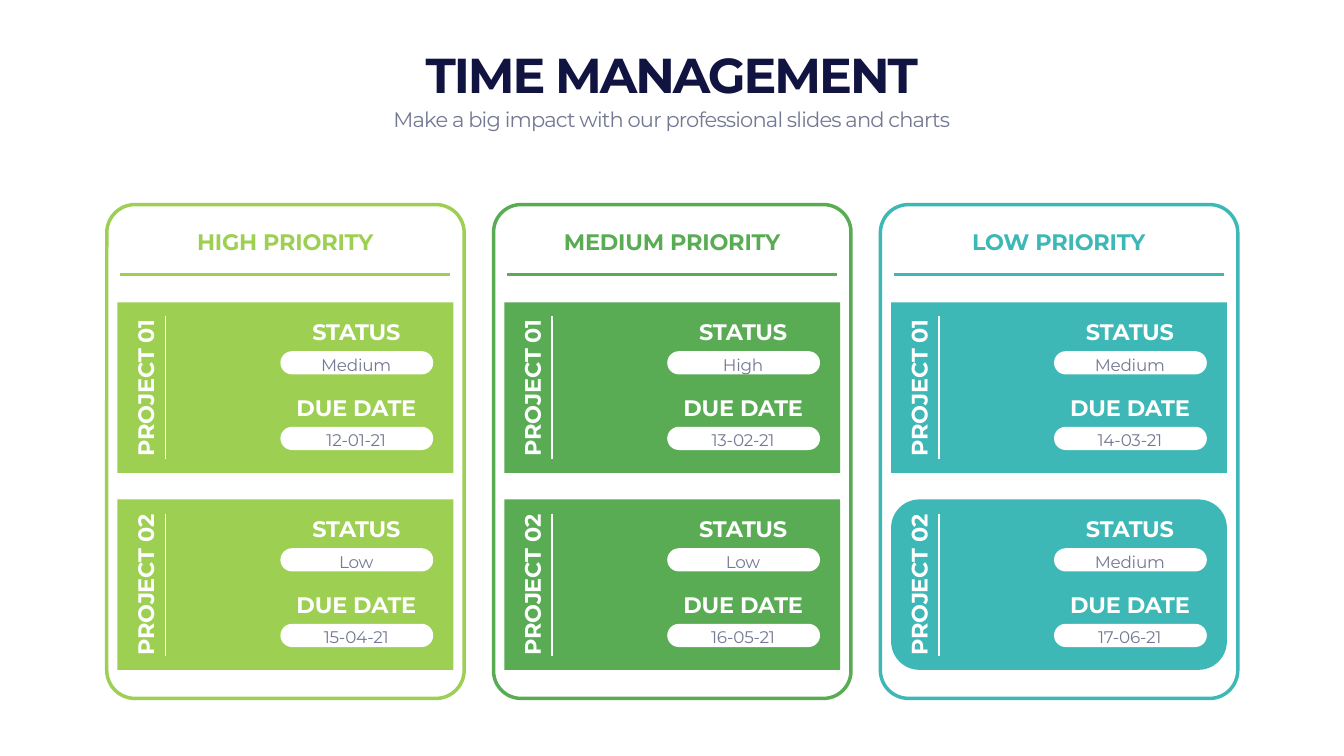
from dataclasses import dataclass

from lxml.etree import SubElement
from pptx import Presentation
from pptx.dml.color import RGBColor
from pptx.enum.shapes import MSO_CONNECTOR, MSO_SHAPE
from pptx.enum.text import MSO_ANCHOR, MSO_AUTO_SIZE, PP_ALIGN
from pptx.oxml.ns import qn
from pptx.util import Cm, Pt


@dataclass(frozen=True)
class Theme:
    font: str = "Montserrat"
    navy: str = "111340"
    gray: str = "747993"
    white: str = "FFFFFF"
    lime: str = "9DCF53"
    green: str = "59AC54"
    teal: str = "3DB8B6"
    title_size: int = 70
    subtitle_size: int = 30
    label_size: int = 32
    value_size: int = 24
    value_leading: int = 36
    thick: int = 5
    thin: int = 2


THEME = Theme()
CARD_LEFT, CARD_TOP, CARD_PITCH = 5.38, 10.31, 19.49
PANEL_TOP, PANEL_PITCH = 15.24, 9.93
FIELD_PITCH = 3.81

CARDS = [
    ("HIGH PRIORITY", THEME.lime, 0.079,
     [("Medium", "12-01-21"), ("Low", "15-04-21")]),
    ("MEDIUM PRIORITY", THEME.green, 0.077,
     [("High", "13-02-21"), ("Low", "16-05-21")]),
    ("LOW PRIORITY", THEME.teal, 0.079,
     [("Medium", "14-03-21"), ("Medium", "17-06-21")]),
]


def write(box, text, size=THEME.label_size, color=THEME.white, bold=True,
          spacing=-0.3, anchor=MSO_ANCHOR.MIDDLE, leading=None):
    frame = box.text_frame
    frame.word_wrap = True
    frame.auto_size = MSO_AUTO_SIZE.NONE
    frame.vertical_anchor = anchor
    para = frame.paragraphs[0]
    para.alignment = PP_ALIGN.CENTER
    para.space_before = Pt(0)
    para.line_spacing = Pt(leading) if leading else 1.0
    span = para.add_run()
    span.text = text
    span.font.name = THEME.font
    span.font.size = Pt(size)
    span.font.bold = bold
    span.font.color.rgb = RGBColor.from_string(color)
    span.font._element.set("spc", str(round(spacing * 100)))


def add_text(parent, left, top, width, height, text, rotation=0, **style):
    box = parent.shapes.add_textbox(Cm(left), Cm(top), Cm(width), Cm(height))
    box.rotation = rotation
    write(box, text, **style)


def add_block(parent, kind, left, top, width, height, fill=None, outline=None,
              corner=None):
    block = parent.shapes.add_shape(
        kind, Cm(left), Cm(top), Cm(width), Cm(height))
    block.shadow.inherit = False
    if corner is not None:
        block.adjustments[0] = corner
    if fill:
        block.fill.solid()
        block.fill.fore_color.rgb = RGBColor.from_string(fill)
    else:
        block.fill.background()
    if outline:
        block.line.color.rgb = RGBColor.from_string(outline)
        block.line.width = Pt(THEME.thick)
    else:
        block.line.fill.background()


def add_rule(page, start, end, color, weight):
    rule = page.shapes.add_connector(
        MSO_CONNECTOR.STRAIGHT, *(Cm(value) for value in (*start, *end)))
    rule.line.color.rgb = RGBColor.from_string(color)
    rule.line.width = Pt(weight)
    SubElement(rule._element.spPr, qn("a:effectLst"))


def fill_placeholder(box, left, top, width, height, text, **style):
    box.left, box.top = Cm(left), Cm(top)
    box.width, box.height = Cm(width), Cm(height)
    write(box, text, **style)


def add_field(page, left, top, label, value):
    add_text(page, left, top, 8.13, 1.63, label)
    group = page.shapes.add_group_shape()
    add_block(group, MSO_SHAPE.ROUNDED_RECTANGLE, left + 0.24, top + 1.8,
              7.7, 1.17, fill=THEME.white, corner=0.5)
    add_text(group, left + 0.76, top + 1.63, 6.6, 1.42, value,
             size=THEME.value_size, color=THEME.gray, bold=False,
             leading=THEME.value_leading)


def add_project(page, left, top, name, color, fields, rounded):
    kind = MSO_SHAPE.ROUNDED_RECTANGLE if rounded else MSO_SHAPE.RECTANGLE
    add_block(page, kind, left, top, 16.92, 8.59, fill=color)
    divider = left + 2.41
    add_rule(page, (divider, top + 0.71), (divider, top + 7.87),
             THEME.white, THEME.thin)
    add_text(page, left - 2.67, top + 3.49, 8.13, 1.63, name, rotation=270)
    for index, (label, value) in enumerate(zip(("STATUS", "DUE DATE"), fields)):
        add_field(page, left + 7.97, top + 0.66 + index * FIELD_PITCH,
                  label, value)


def add_card(page, left, heading, color, corner, projects, rounded_last):
    add_block(page, MSO_SHAPE.ROUNDED_RECTANGLE, left, CARD_TOP, 18.01, 24.89,
              outline=color, corner=corner)
    add_text(page, left + 1.14, 11.33, 15.7, 1.63, heading, color=color,
             anchor=MSO_ANCHOR.BOTTOM)
    add_rule(page, (left + 0.69, 13.84), (left + 17.31, 13.84),
             color, THEME.thick)
    for index, fields in enumerate(projects):
        rounded = rounded_last and index == len(projects) - 1
        add_project(page, left + 0.54, PANEL_TOP + index * PANEL_PITCH,
                    f"PROJECT {index + 1:02d}", color, fields, rounded)


def main():
    deck = Presentation()
    deck.slide_width, deck.slide_height = Cm(67.72), Cm(38.1)
    page = deck.slides.add_slide(deck.slide_layouts[0])
    fill_placeholder(page.shapes.title, 4.22, 2.08, 59.26, 3.25,
                     "TIME MANAGEMENT", size=THEME.title_size,
                     color=THEME.navy, spacing=-2.9, anchor=MSO_ANCHOR.BOTTOM)
    fill_placeholder(page.placeholders[1], 4.22, 5.23, 59.26, 1.55,
                     "Make a big impact with our professional slides and charts",
                     size=THEME.subtitle_size, color=THEME.gray, bold=False,
                     spacing=-1.2, anchor=MSO_ANCHOR.TOP)
    for index, (heading, color, corner, projects) in enumerate(CARDS):
        add_card(page, CARD_LEFT + index * CARD_PITCH, heading, color, corner,
                 projects, rounded_last=index == len(CARDS) - 1)
    deck.save("out.pptx")


main()
